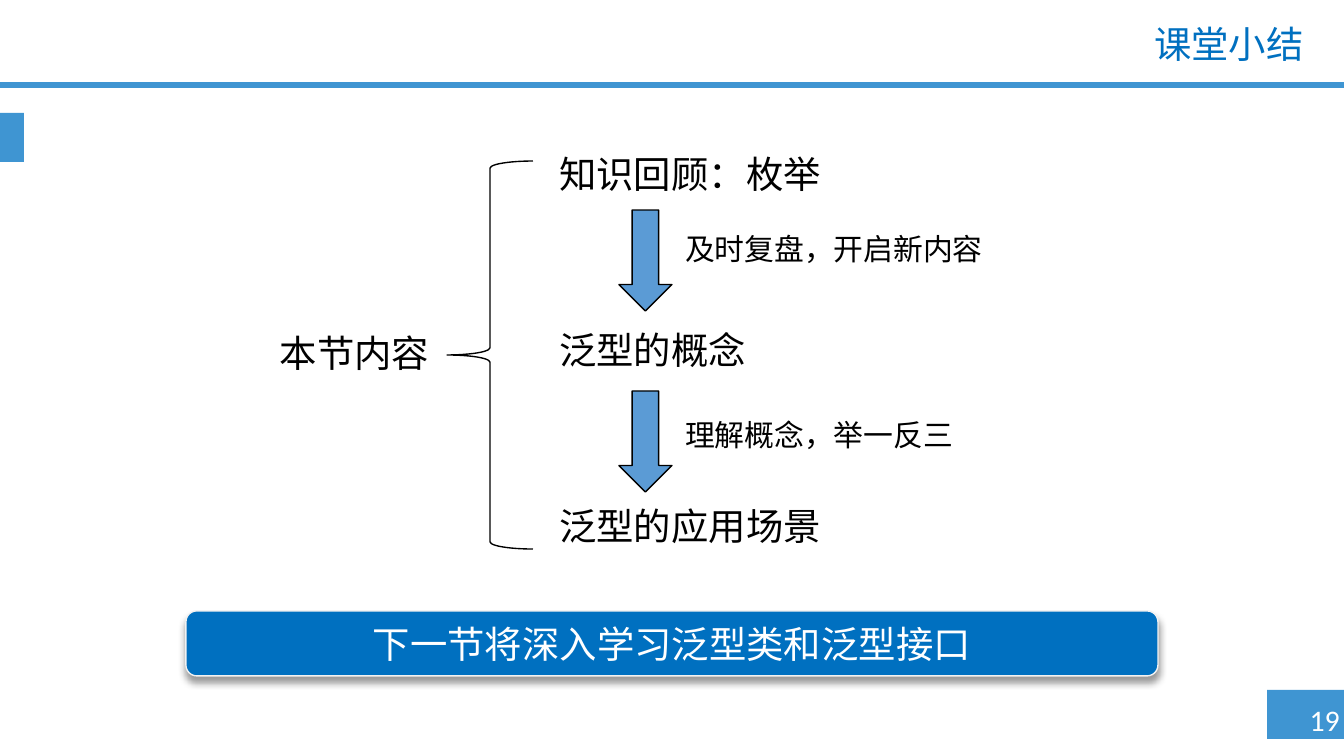
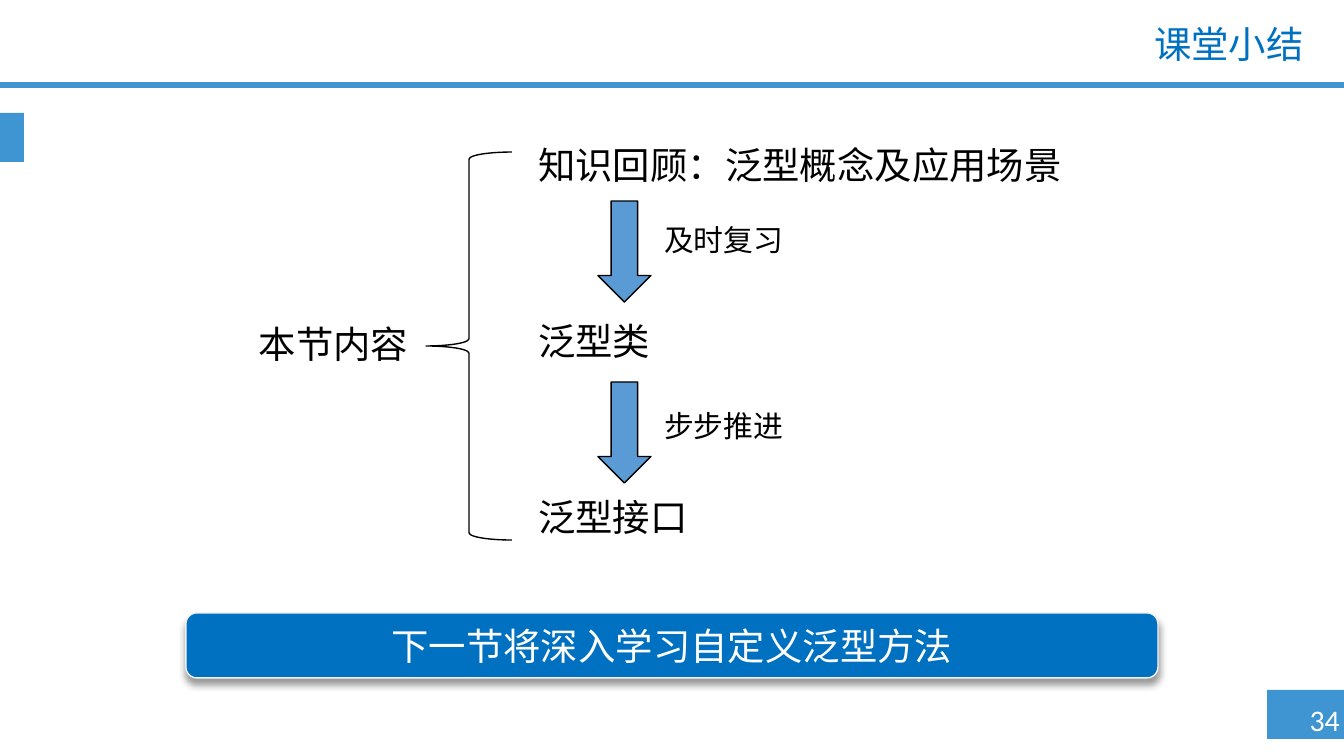
from dataclasses import dataclass
from typing import NamedTuple

from lxml.etree import SubElement
from pptx import Presentation
from pptx.dml.color import RGBColor
from pptx.enum.shapes import MSO_SHAPE
from pptx.enum.text import MSO_ANCHOR, PP_ALIGN
from pptx.oxml.ns import qn
from pptx.util import Pt

EMU_PER_PX = 914400 / 134.4


@dataclass(frozen=True)
class Theme:
    band: str = "3F95D2"
    accent: str = "0070C0"
    arrow: str = "5B9BD5"
    ink: str = "000000"
    paper: str = "FFFFFF"
    banner_edge: str = "F2F2F2"
    font: str = "Arial"
    number_font: str = "Calibri"
    large: int = 20
    small: int = 16
    line_width: float = 0.75


THEME = Theme()


class Box(NamedTuple):
    left: int
    top: int
    width: int
    height: int

    def inside(self, left, top, width, height):
        """Return a box placed relative to this box's top left corner."""
        return Box(self.left + left, self.top + top, width, height)


SLIDE = Box(0, 0, 1344, 756)


def px(length):
    return round(length * EMU_PER_PX)


def emu(box):
    return [px(length) for length in box]


def write(shape, text, size=THEME.large, color=THEME.ink,
          align=PP_ALIGN.LEFT, font=THEME.font):
    """Put one styled paragraph in the shape and return that paragraph."""
    paragraph = shape.text_frame.paragraphs[0]
    paragraph.text = text
    paragraph.alignment = align
    for run in paragraph.runs:
        run.font.size = Pt(size)
        run.font.name = font
        run.font.color.rgb = RGBColor.from_string(color)
    return paragraph


def add_text(slide, box, text, wrap=True, **style):
    label = slide.shapes.add_textbox(*emu(box))
    label.text_frame.word_wrap = wrap
    return write(label, text, **style)


def add_figure(slide, kind, box, fill=None, line=None):
    figure = slide.shapes.add_shape(kind, *emu(box))
    figure.shadow.inherit = False
    if fill:
        figure.fill.solid()
        figure.fill.fore_color.rgb = RGBColor.from_string(fill)
    else:
        figure.fill.background()
    if line:
        figure.line.color.rgb = RGBColor.from_string(line)
        figure.line.width = Pt(THEME.line_width)
    else:
        figure.line.fill.background()
    return figure


def add_drop_shadow(figure):
    effects = figure._element.spPr.find(qn("a:effectLst"))
    shadow = SubElement(effects, qn("a:outerShdw"), blurRad=str(Pt(4)),
                        dist=str(Pt(3)), dir="5400000", rotWithShape="0")
    color = SubElement(shadow, qn("a:srgbClr"), val=THEME.ink)
    SubElement(color, qn("a:alpha"), val="40000")


def draw_frame(slide, box, title, number):
    """Draw the bands, the title and the page number."""
    bands = [(1267, 690, 77, 49), (0, 82, box.width, 6), (0, 113, 24, 49)]
    for band in bands:
        add_figure(slide, MSO_SHAPE.RECTANGLE, box.inside(*band), THEME.band)
    add_text(slide, box.inside(1293, 695, 70, 50), f"{number} ", wrap=False,
             size=THEME.small, color=THEME.paper, align=PP_ALIGN.CENTER,
             font=THEME.number_font)
    heading = add_text(slide, box.inside(323, 20, 994, 54), title,
                       color=THEME.accent, align=PP_ALIGN.RIGHT)
    heading.line_spacing = 0.9


def draw_outline(slide, box, topic, steps, transitions):
    """Draw a topic, its brace, and the steps joined by labelled arrows."""
    add_figure(slide, MSO_SHAPE.LEFT_BRACE, box.inside(251, 16, 86, 388),
               line=THEME.ink)
    add_text(slide, box.inside(0, 179, 317, 59), topic, align=PP_ALIGN.CENTER)
    for row, step in enumerate(steps):
        add_text(slide, box.inside(350, 176 * row, 622, 59), step)
    for row, transition in enumerate(transitions):
        add_figure(slide, MSO_SHAPE.DOWN_ARROW,
                   box.inside(423, 65 + 181 * row, 53, 101),
                   THEME.arrow, THEME.ink)
        add_text(slide, box.inside(476, 79 + 186 * row, 469, 50), transition,
                 size=THEME.small)


def draw_banner(slide, box, text):
    banner = add_figure(slide, MSO_SHAPE.ROUNDED_RECTANGLE, box,
                        THEME.accent, THEME.banner_edge)
    add_drop_shadow(banner)
    banner.text_frame.word_wrap = True
    banner.text_frame.vertical_anchor = MSO_ANCHOR.MIDDLE
    write(banner, text, color=THEME.paper, align=PP_ALIGN.CENTER)


def add_summary(deck, number, outline_box, steps, transitions,
                banner_top, preview):
    slide = deck.slides.add_slide(deck.slide_layouts[6])
    draw_frame(slide, SLIDE, "课堂小结", number)
    draw_outline(slide, outline_box, "本节内容", steps, transitions)
    draw_banner(slide, SLIDE.inside(186, banner_top, 972, 65), preview)


def main():
    deck = Presentation()
    deck.slide_width, deck.slide_height = px(SLIDE.width), px(SLIDE.height)
    add_summary(deck, 19, Box(196, 145, 972, 411),
                ["知识回顾：枚举", "泛型的概念", "泛型的应用场景"],
                ["及时复盘，开启新内容", "理解概念，举一反三"],
                611, "下一节将深入学习泛型类和泛型接口")
    add_summary(deck, 34, Box(175, 136, 972, 411),
                ["知识回顾：泛型概念及应用场景", "泛型类", "泛型接口"],
                ["及时复习", "步步推进"],
                613, "下一节将深入学习自定义泛型方法")
    deck.save("out.pptx")


if __name__ == "__main__":
    main()
